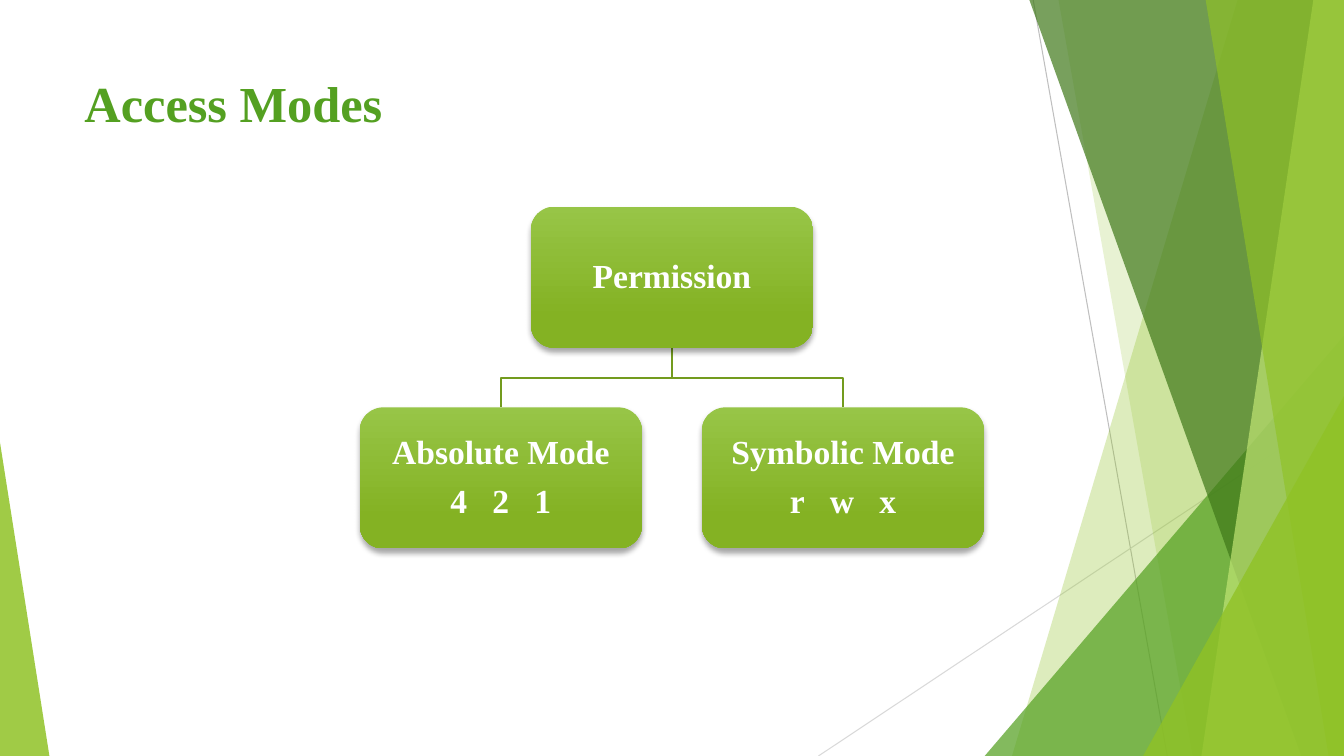
"""Build the Access Modes slide: a permission tree on a faceted green backdrop."""
import dataclasses
import typing

import lxml.etree
import pptx
import pptx.dml.color
import pptx.enum.dml
import pptx.enum.shapes
import pptx.enum.text
import pptx.oxml.ns
import pptx.util

Pt = pptx.util.Pt
Kind = pptx.enum.shapes.MSO_SHAPE
WIDE, HIGH = 960, 540
BOX_W, BOX_H = 201.6, 100.8
ROOT_Y, LEAF_Y = 147.6, 291
MID_X, SIDE = WIDE / 2, 122.2
FACE = "Times New Roman"
HUES = {
    "lime": "90C226", "green": "54A021", "dark": "3F7819", "pale": "C0E474",
    "link": "739B1E", "light": "97C547", "deep": "84B223", "white": "FFFFFF",
    "grey": "BFBFBF", "mist": "D9D9D9", "black": "000000",
}


@dataclasses.dataclass
class Ray:
    start: tuple[float, float]
    end: tuple[float, float]
    hue: str


@dataclasses.dataclass
class Band:
    top: float
    base: float
    hue: str
    alpha: int


@dataclasses.dataclass
class Wedge:
    left: float
    top: float
    width: float
    peak: float
    hue: str
    alpha: int


@dataclasses.dataclass
class Node:
    mid: float
    top: float
    lines: list[list[str]]


RAYS = [
    Ray((738, 0), (833.8, HIGH), "grey"),
    Ray((WIDE, 290.2), (584.6, HIGH), "mist"),
]
FACETS = [
    Band(884.2, 722.9, "lime", 30),
    Band(756, 851.8, "lime", 20),
    Wedge(703.4, 239.8, 256.6, 1, "green", 72),
    Band(735.1, 929.5, "dark", 70),
    Band(938.2, 858.2, "pale", 70),
    Band(861.1, 949, "lime", 65),
    Wedge(816.5, 283, 143.5, 1, "lime", 80),
    Wedge(0, 316.1, 35.3, 0, "lime", 85),
]
NODES = [
    Node(MID_X, ROOT_Y, [["Permission"]]),
    Node(MID_X - SIDE, LEAF_Y, [["Absolute Mode"], ["4", "2", "1"]]),
    Node(MID_X + SIDE, LEAF_Y, [["Symbolic Mode"], ["r", "w", "x"]]),
]


def tint(hue: str) -> pptx.dml.color.RGBColor:
    return pptx.dml.color.RGBColor.from_string(HUES[hue])


def child(node: typing.Any, tag: str, **attrs: str) -> typing.Any:
    part = lxml.etree.SubElement(node, pptx.oxml.ns.qn(tag))
    for key, value in attrs.items():
        part.set(key, value)
    return part


def trace(slide: typing.Any, dots: list[tuple[float, float]], close: bool) -> typing.Any:
    dots = [(Pt(x), Pt(y)) for x, y in dots]
    pen = slide.shapes.build_freeform(*dots[0])
    pen.add_line_segments(dots[1:], close=close)
    shape = pen.convert_to_shape()
    shape.shadow.inherit = False
    return shape


def draw_ray(slide: typing.Any, ray: Ray) -> None:
    ends = [Pt(value) for value in ray.start + ray.end]
    line = slide.shapes.add_connector(pptx.enum.shapes.MSO_CONNECTOR.STRAIGHT, *ends)
    line.line.color.rgb = tint(ray.hue)
    line.line.width = Pt(0.75)
    child(line._element.spPr, "a:effectLst")


def draw_facet(slide: typing.Any, facet: Band | Wedge) -> None:
    if isinstance(facet, Band):
        dots = [(facet.top, -0.6), (WIDE, -0.6), (WIDE, HIGH), (facet.base, HIGH)]
        shape = trace(slide, dots, True)
    else:
        shape = slide.shapes.add_shape(
            Kind.ISOSCELES_TRIANGLE, Pt(facet.left), Pt(facet.top),
            Pt(facet.width), Pt(HIGH - facet.top))
        shape.adjustments[0] = facet.peak
        shape.shadow.inherit = False
    shape.fill.solid()
    shape.fill.fore_color.rgb = tint(facet.hue)
    shape.line.fill.background()
    paint = shape._element.spPr.find(".//" + pptx.oxml.ns.qn("a:srgbClr"))
    child(paint, "a:alpha", val=str(facet.alpha * 1000))


def draw_link(slide: typing.Any, node: Node) -> None:
    foot = ROOT_Y + BOX_H
    bend = (foot + node.top) / 2
    dots = [(MID_X, foot), (MID_X, bend), (node.mid, bend), (node.mid, node.top)]
    link = trace(slide, dots, False)
    link.fill.background()
    link.line.color.rgb = tint("link")
    link.line.width = Pt(1.5)


def add_run(para: typing.Any, text: str, size: float, hue: str) -> typing.Any:
    run = para.add_run()
    run.text = text
    run.font.name = FACE
    run.font.size = Pt(size)
    run.font.bold = True
    run.font.color.rgb = tint(hue)
    return run


def draw_node(slide: typing.Any, node: Node) -> None:
    box = slide.shapes.add_shape(
        Kind.ROUNDED_RECTANGLE, Pt(node.mid - BOX_W / 2), Pt(node.top), Pt(BOX_W), Pt(BOX_H))
    box.fill.gradient()
    box.fill.gradient_angle = 270
    for stop, hue, place in zip(box.fill.gradient_stops, ("light", "deep"), (0, 0.78)):
        stop.color.rgb = tint(hue)
        stop.position = place
    box.line.fill.background()
    box.shadow.inherit = False
    glow = box._element.spPr.find(pptx.oxml.ns.qn("a:effectLst"))
    cast = child(glow, "a:outerShdw", blurRad=str(Pt(4)), dist=str(Pt(3)),
                 dir="5400000", rotWithShape="0")
    child(child(cast, "a:srgbClr", val=HUES["black"]), "a:alpha", val="35000")

    frame = box.text_frame
    frame.word_wrap = True
    frame.vertical_anchor = pptx.enum.text.MSO_ANCHOR.MIDDLE
    frame.margin_left = frame.margin_right = Pt(6.5)
    frame.margin_top = frame.margin_bottom = Pt(6.5)
    for row, words in enumerate(node.lines):
        para = frame.add_paragraph() if row else frame.paragraphs[0]
        para.alignment = pptx.enum.text.PP_ALIGN.CENTER
        para.line_spacing = 0.9
        if row:
            para.space_before = Pt(9.5)
        for spot, word in enumerate(words):
            if spot:
                gap = add_run(para, " ", 24, "white")
                gap._r.get_or_add_rPr().set("spc", "1200")
            add_run(para, word, 24, "white")


def draw_title(slide: typing.Any) -> None:
    box = slide.shapes.add_textbox(Pt(53.3), Pt(48.2), Pt(676.8), Pt(103.7))
    box.text_frame.word_wrap = True
    add_run(box.text_frame.paragraphs[0], "Access Modes", 36, "green")


def main() -> None:
    deck = pptx.Presentation()
    deck.slide_width, deck.slide_height = Pt(WIDE), Pt(HIGH)
    slide = deck.slides.add_slide(deck.slide_layouts[6])
    for ray in RAYS:
        draw_ray(slide, ray)
    for facet in FACETS:
        draw_facet(slide, facet)
    draw_title(slide)
    for node in NODES[1:]:
        draw_link(slide, node)
    for node in NODES:
        draw_node(slide, node)
    deck.save("out.pptx")


if __name__ == "__main__":
    main()
